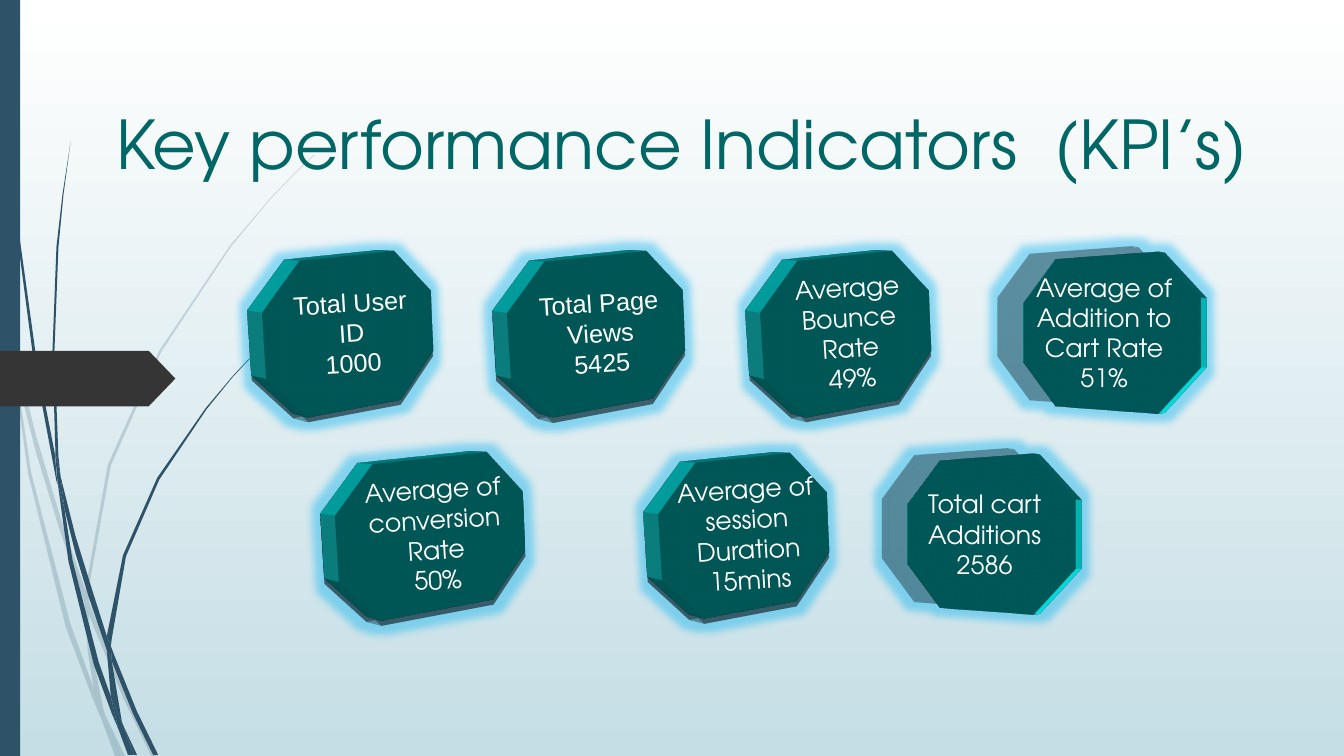
from lxml.etree import SubElement
from pptx import Presentation
from pptx.dml.color import RGBColor
from pptx.enum.shapes import MSO_SHAPE
from pptx.enum.text import MSO_ANCHOR, MSO_AUTO_SIZE, PP_ALIGN
from pptx.oxml.ns import qn
from pptx.util import Cm, Pt

WHITE = RGBColor(0xFF, 0xFF, 0xFF)
BLACK = RGBColor(0x00, 0x00, 0x00)
MIST = RGBColor(0xC5, 0xDE, 0xE5)
NAVY = RGBColor(0x2E, 0x53, 0x69)
CHARCOAL = RGBColor(0x35, 0x35, 0x35)
TEAL = RGBColor(0x00, 0x66, 0x66)
GLOW = RGBColor(0x00, 0xB0, 0xF0)
GEOMETRIC, PLAIN = "TeX Gyre Adventor", "Arial"

# Outlines of the grass blades, in hundredths of an inch
PALE_BLADES = [
    [(11, 350), (9, 322), (0, 282), (0, 299), (10, 344)],
    [(58, 522), (84, 599), (85, 586), (62, 520), (36, 433), (14, 345), (17, 376), (36, 450)],
    [(92, 607), (88, 596), (88, 610), (123, 694), (150, 750), (155, 750), (127, 692)],
    [(119, 750), (124, 750), (105, 711)],
    [(93, 683), (70, 619), (31, 469), (17, 376), (11, 350), (28, 470), (65, 621),
     (92, 693), (101, 714), (99, 707)],
    [(84, 599), (87, 646), (93, 683), (96, 692), (105, 711), (103, 706), (91, 646),
     (88, 610), (88, 608)],
    [(88, 584), (110, 462), (160, 349), (229, 245), (268, 198), (290, 175), (312, 154),
     (312, 153), (289, 175), (268, 197), (228, 244), (158, 348), (107, 461), (85, 584),
     (85, 586), (88, 596)],
    [(101, 714), (114, 750), (119, 750)],
    [(88, 608), (88, 610), (88, 596), (85, 586), (84, 599)],
    [(96, 692), (93, 683), (99, 707), (101, 714), (119, 750), (105, 711)],
]
DARK_BLADES = [
    [(7, 110), (17, 233), (33, 355), (56, 477), (57, 481), (55, 457), (55, 453), (36, 355),
     (19, 232), (8, 109), (5, 48), (4, 0), (3, 0), (4, 48)],
    [(88, 592), (106, 645), (106, 633), (106, 631), (93, 590), (75, 532), (60, 472),
     (64, 505), (75, 549)],
    [(113, 649), (110, 641), (111, 656), (132, 708), (152, 749), (157, 749), (136, 706)],
    [(110, 691), (98, 657), (72, 556), (64, 505), (57, 477), (68, 557), (93, 659),
     (111, 708), (117, 722), (116, 717)],
    [(60, 472), (58, 453), (54, 349), (58, 245), (63, 193), (70, 141), (62, 193),
     (56, 245), (52, 349), (55, 449)],
    [(133, 749), (136, 749), (122, 719)],
    [(57, 477), (64, 505), (60, 472), (55, 449), (55, 453)],
    [(111, 633), (125, 552), (158, 476), (205, 406), (231, 374), (245, 359), (261, 344),
     (260, 344), (245, 358), (231, 373), (204, 405), (156, 474), (122, 551), (106, 631),
     (110, 641)],
    [(117, 722), (127, 749), (131, 749)],
    [(106, 645), (110, 691), (116, 706), (122, 719), (121, 716), (111, 656), (109, 651)],
    [(106, 645), (109, 651), (111, 656), (110, 641), (106, 631), (106, 633)],
    [(116, 706), (110, 691), (116, 717), (117, 722), (130, 749), (133, 749), (122, 719)],
]

RAISED = {
    "shadow": {"blurRad": 225425, "dist": 50800, "dir": 5220000, "algn": "ctr"},
    "shadow_opacity": 33,
    "view": 3300000,
    "turn": {"lat": 486000, "lon": 19530000, "rev": 174000},
    "light": "harsh",
    "light_turn": 3000000,
    "body": {"extrusionH": 254000},
}
FLOATING = {
    "shadow": {"blurRad": 184150, "dist": 241300, "dir": 11520000,
               "sx": 110000, "sy": 110000, "algn": "ctr"},
    "shadow_opacity": 18,
    "view": 5100000,
    "turn": {"lat": 0, "lon": 2100000, "rev": 0},
    "light": "flood",
    "light_turn": 13800000,
    "body": {"extrusionH": 107950, "prstMaterial": "plastic"},
}

# Each row: top, then (left, width, font, effect, lines) of every indicator, in cm
INDICATOR_ROWS = [
    (6.45, [
        (6.3, 5.13, PLAIN, RAISED, ["Total User ID", "1000"]),
        (12.45, 5.36, PLAIN, RAISED, ["Total Page Views", "5425"]),
        (18.85, 5.13, GEOMETRIC, RAISED, ["Average Bounce Rate", "49%"]),
        (25.12, 5.41, GEOMETRIC, FLOATING, ["Average of Addition to", "Cart Rate", "51%"]),
    ]),
    (11.53, [
        (8.1, 5.74, GEOMETRIC, RAISED, ["Average of conversion Rate", "50%"]),
        (16.28, 5.13, GEOMETRIC, RAISED, ["Average of session Duration", "15mins"]),
        (22.25, 5.13, GEOMETRIC, FLOATING, ["Total cart Additions", "2586"]),
    ]),
]
INDICATOR_HEIGHT = 3.86


def paint(shape, color):
    shape.fill.solid()
    shape.fill.fore_color.rgb = color
    shape.line.fill.background()
    shape.shadow.inherit = False


def format_font(font, **values):
    color = values.pop("color")
    for name, value in values.items():
        setattr(font, name, value)
    font.color.rgb = color


def add_node(parent, tag, **attributes):
    texts = {name: str(value) for name, value in attributes.items()}
    return SubElement(parent, qn(f"a:{tag}"), texts)


def add_background(slide):
    fill = slide.background.fill
    fill.gradient()
    fill.gradient_angle = 270
    for stop, color in zip(fill.gradient_stops, (WHITE, MIST)):
        stop.color.rgb = color


def add_blades(slide, outlines, opacity=100):
    group = slide.shapes.add_group_shape()
    for start, *points in outlines:
        builder = group.shapes.build_freeform(*start, scale=Cm(0.0254))
        builder.add_line_segments(points)
        blade = builder.convert_to_shape()
        paint(blade, NAVY)
        if opacity < 100:
            color = next(blade.element.spPr.iter(qn("a:srgbClr")))
            add_node(color, "alpha", val=opacity * 1000)


def add_side_band(slide, left, top, width, height):
    band = slide.shapes.add_shape(MSO_SHAPE.RECTANGLE, Cm(left), Cm(top), Cm(width), Cm(height))
    paint(band, NAVY)
    marker = slide.shapes.add_shape(MSO_SHAPE.PENTAGON, Cm(left), Cm(top + 8.84), Cm(4.42), Cm(1.4))
    marker.adjustments[0] = 0.48
    paint(marker, CHARCOAL)


def add_title(slide, left, top, width, height):
    title = slide.shapes.title
    title.element.getparent().append(title.element)  # bring in front of the blades
    box = {"left": left, "top": top, "width": width, "height": height}
    for name, value in box.items():
        setattr(title, name, Cm(value))
    frame = title.text_frame
    frame.text = "Key performance Indicators  (KPI’s)"
    frame.auto_size = MSO_AUTO_SIZE.NONE
    frame.vertical_anchor = MSO_ANCHOR.MIDDLE
    paragraph = frame.paragraphs[0]
    paragraph.alignment = PP_ALIGN.LEFT
    format_font(paragraph.runs[0].font, name=GEOMETRIC, size=Pt(48), color=TEAL)


def apply_effect(shape, effect):
    """Give the shape a glow, a shadow and a 3-D body."""
    properties = shape.element.spPr
    effects = properties.find(qn("a:effectLst"))
    glow = add_node(effects, "glow", rad=Pt(11))
    shadow = add_node(effects, "outerShdw", **effect["shadow"])
    for parent, color, opacity in ((glow, GLOW, 40), (shadow, BLACK, effect["shadow_opacity"])):
        add_node(add_node(parent, "srgbClr", val=color), "alpha", val=opacity * 1000)
    scene = add_node(properties, "scene3d")
    camera = add_node(scene, "camera", prst="perspectiveFront", fov=effect["view"])
    add_node(camera, "rot", **effect["turn"])
    light = add_node(scene, "lightRig", rig=effect["light"], dir="t")
    add_node(light, "rot", lat=0, lon=0, rev=effect["light_turn"])
    add_node(properties, "sp3d", **effect["body"])


def add_indicator(slide, left, top, width, height, font_name, effect, lines):
    octagon = slide.shapes.add_shape(MSO_SHAPE.OCTAGON, Cm(left), Cm(top), Cm(width), Cm(height))
    paint(octagon, TEAL)
    apply_effect(octagon, effect)
    frame = octagon.text_frame
    frame.word_wrap = True
    frame.vertical_anchor = MSO_ANCHOR.MIDDLE
    frame.text = "\n".join(lines)
    for paragraph in frame.paragraphs:
        paragraph.alignment = PP_ALIGN.CENTER
        format_font(paragraph.runs[0].font, name=font_name, size=Pt(18), color=WHITE)


def main():
    presentation = Presentation()
    presentation.slide_width, presentation.slide_height = Cm(33.87), Cm(19.05)
    slide = presentation.slides.add_slide(presentation.slide_layouts[5])
    add_background(slide)
    add_blades(slide, PALE_BLADES, opacity=20)
    add_blades(slide, DARK_BLADES)
    add_side_band(slide, 0, 0, 0.51, 19.05)
    add_title(slide, 2.67, 1.7, 29.29, 3.78)
    for top, indicators in INDICATOR_ROWS:
        for left, width, *content in indicators:
            add_indicator(slide, left, top, width, INDICATOR_HEIGHT, *content)
    presentation.save("out.pptx")


if __name__ == "__main__":
    main()
